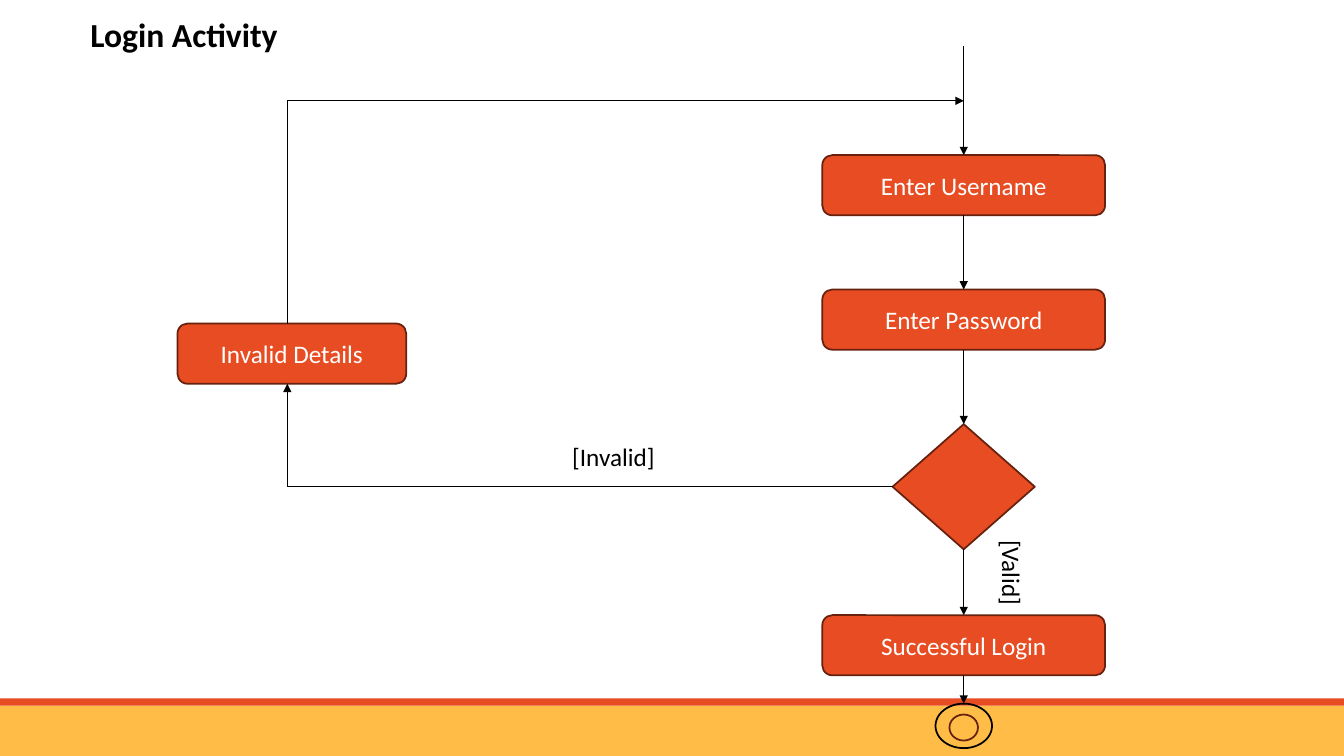
from pptx import Presentation
from pptx.dml.color import RGBColor
from pptx.enum.shapes import MSO_CONNECTOR, MSO_SHAPE
from pptx.enum.text import MSO_ANCHOR, MSO_AUTO_SIZE, PP_ALIGN
from pptx.oxml.ns import qn
from pptx.util import Pt
from lxml.etree import SubElement

COLORS = {
    "orange": "E84C22",
    "amber": "FFBD47",
    "brown": "66210F",
    "black": "000000",
    "white": "FFFFFF",
}
FLOW_X = 688.4
LOOP_X = 205.2
LOOP_TOP = 72
STEP_W = 202
STEP_H = 43
DECISION_TOP = 303
DECISION_W = 101.6
DECISION_H = 89.4
END_TOP = 502.6


def rgb(name):
    return RGBColor.from_string(COLORS[name])


def write(tf, text, size=18, color="black", bold=False,
          align=PP_ALIGN.LEFT, anchor=MSO_ANCHOR.TOP):
    tf.word_wrap = True
    tf.auto_size = MSO_AUTO_SIZE.NONE
    tf.vertical_anchor = anchor
    p = tf.paragraphs[0]
    p.alignment = align
    r = p.add_run()
    r.text = text
    r.font.name = "Calibri"
    r.font.size = Pt(size)
    r.font.bold = bold
    r.font.color.rgb = rgb(color)


def place(sp, left, top, width, height):
    sp.left, sp.top, sp.width, sp.height = map(Pt, (left, top, width, height))


def add_shape(s, kind, left, top, width, height, fill=None, line=None):
    sp = s.shapes.add_shape(kind, Pt(left), Pt(top), Pt(width), Pt(height))
    sp.shadow.inherit = False
    if fill:
        sp.fill.solid()
        sp.fill.fore_color.rgb = rgb(fill)
    else:
        sp.fill.background()
    if line:
        sp.line.color.rgb = rgb(line)
        sp.line.width = Pt(1.25)
    else:
        sp.line.fill.background()
    return sp


def add_step(s, text, center, top, width=STEP_W):
    sp = add_shape(s, MSO_SHAPE.ROUNDED_RECTANGLE, center - width / 2, top,
                   width, STEP_H, "orange", "brown")
    write(sp.text_frame, text, color="white", align=PP_ALIGN.CENTER,
          anchor=MSO_ANCHOR.MIDDLE)


def add_label(s, text, left, top, width, rotation=0):
    sp = s.shapes.add_textbox(Pt(left), Pt(top), Pt(width), Pt(29))
    sp.rotation = rotation
    write(sp.text_frame, text)


def add_line(s, x1, y1, x2, y2, arrow=True):
    line = s.shapes.add_connector(MSO_CONNECTOR.STRAIGHT,
                                  Pt(x1), Pt(y1), Pt(x2), Pt(y2))
    line.line.color.rgb = rgb("black")
    line.line.width = Pt(1)
    if arrow:
        SubElement(line.line._get_or_add_ln(), qn("a:tailEnd"), type="triangle")
    SubElement(line._element.spPr, qn("a:effectLst"))


def main():
    prs = Presentation()
    prs.slide_width, prs.slide_height = Pt(960), Pt(540)
    s = prs.slides.add_slide(prs.slide_layouts[5])

    add_shape(s, MSO_SHAPE.RECTANGLE, 0, 504, 960, 36, "amber")
    add_shape(s, MSO_SHAPE.RECTANGLE, 0, 498.8, 960, 5.2, "orange")

    title = s.shapes.title
    place(title, 57.4, 6.5, 791, 415)
    write(title.text_frame, "Login Activity", size=24, bold=True)

    username, password, success = 110.8, 206.8, 439.4
    add_step(s, "Enter Username", FLOW_X, username)
    add_step(s, "Enter Password", FLOW_X, password)
    add_step(s, "Successful Login", FLOW_X, success)

    invalid = 231.1
    add_step(s, "Invalid Details", 208.5, invalid, width=163.4)

    decision_left = FLOW_X - DECISION_W / 2
    decision_mid = DECISION_TOP + DECISION_H / 2
    add_shape(s, MSO_SHAPE.DIAMOND, decision_left, DECISION_TOP,
              DECISION_W, DECISION_H, "orange", "brown")

    for start, end in [
        (33, username),
        (username + STEP_H, password),
        (password + STEP_H, DECISION_TOP),
        (DECISION_TOP + DECISION_H, success),
        (success + STEP_H, END_TOP),
    ]:
        add_line(s, FLOW_X, start, FLOW_X, end)

    add_line(s, decision_left, decision_mid, LOOP_X, decision_mid, arrow=False)
    add_line(s, LOOP_X, decision_mid, LOOP_X, invalid + STEP_H)
    add_line(s, LOOP_X, invalid, LOOP_X, LOOP_TOP, arrow=False)
    add_line(s, LOOP_X, LOOP_TOP, FLOW_X, LOOP_TOP)

    add_label(s, "[Valid]", 689.8, 397.4, 66.2, rotation=90)
    add_label(s, "[Invalid]", 401.6, 311.8, 90.8)

    for top, width, height, line in [(END_TOP, 40.4, 31.8, "black"),
                                     (510.4, 20.4, 18.6, "brown")]:
        add_shape(s, MSO_SHAPE.OVAL, FLOW_X - width / 2, top,
                  width, height, line=line)

    prs.save("out.pptx")


if __name__ == "__main__":
    main()
